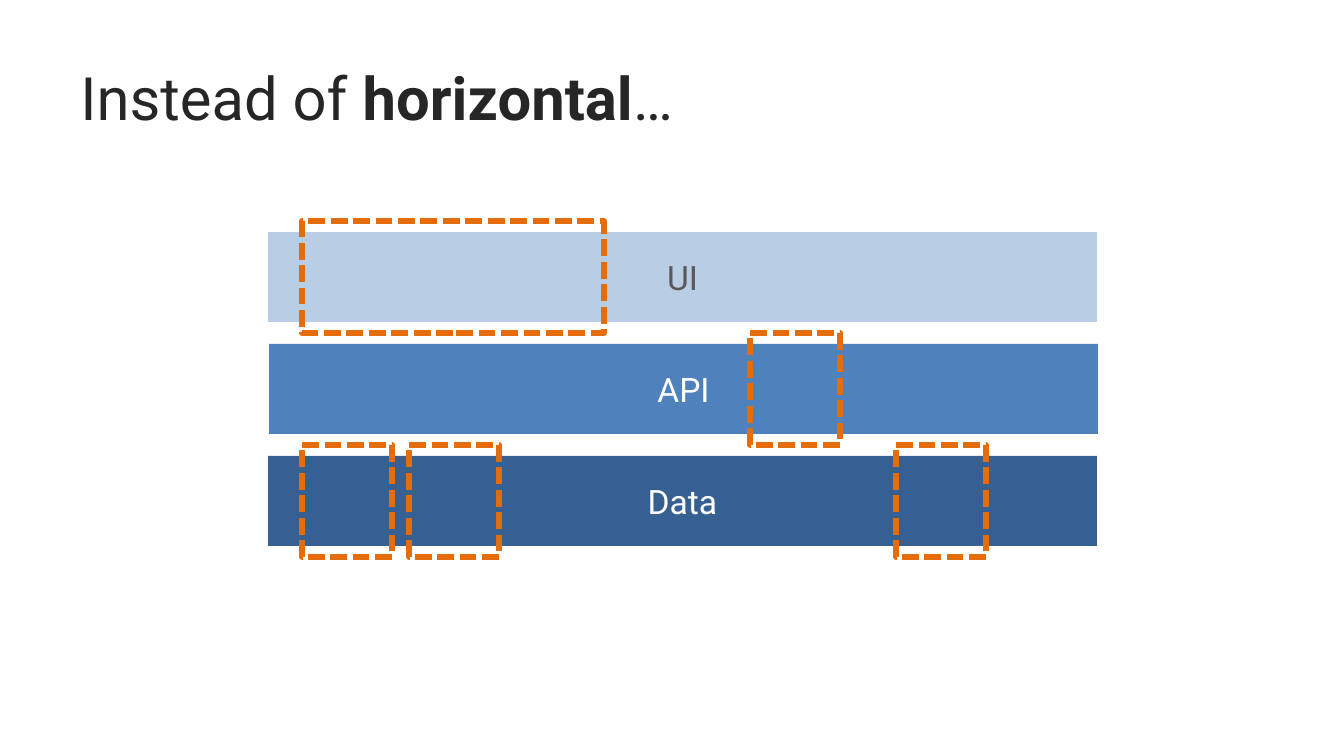
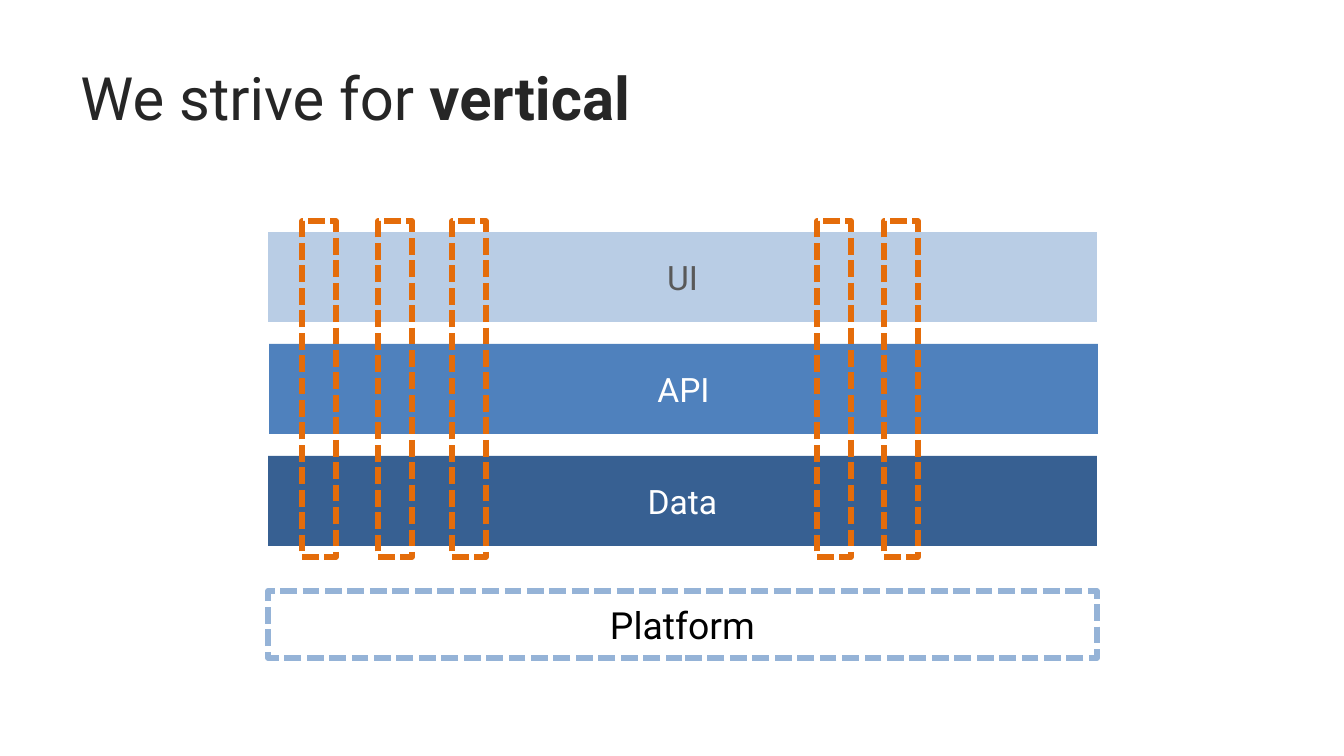
from pptx import Presentation
from pptx.dml.color import RGBColor
from pptx.enum.dml import MSO_LINE
from pptx.enum.shapes import MSO_SHAPE
from pptx.enum.text import MSO_ANCHOR, MSO_AUTO_SIZE, PP_ALIGN
from pptx.util import Pt

EMU_PER_PX = 914400 / 134.4
FONT = "Roboto"
INK, ORANGE, PALE_BLUE = "262626", "E46C0A", "95B3D7"
TITLE_BOX = (67, 34, 1210, 126)
STACK_BOX = (268, 221, 829, 336)
PLATFORM_BOX = (268, 591, 829, 67)
BAR_INSET = 11
LAYERS = [
    ("UI", "B9CDE5", "595959", 0),
    ("API", "4F81BD", "FFFFFF", 1),
    ("Data", "376092", "FFFFFF", 0),
]
HORIZONTAL_SLICES = [(0, 34, 302), (1, 482, 90), (2, 34, 90), (2, 141, 90), (2, 628, 90)]
VERTICAL_SLICES = [34, 110, 184, 549, 616]
VERTICAL_WIDTH = 34


def px(length):
    """Turn pixels into EMU."""
    return round(length * EMU_PER_PX)


def color(hex_value):
    """Turn a hex string into a colour."""
    return RGBColor.from_string(hex_value)


def apply(target, values):
    """Set each named attribute on the target."""
    for name, value in values.items():
        setattr(target, name, value)


def place(shape, box):
    """Move and size a shape to a pixel box."""
    apply(shape, dict(zip(("left", "top", "width", "height"), map(px, box))))


def add_run(paragraph, text, size, text_color, bold=False):
    """Add a formatted run to a paragraph."""
    run = paragraph.add_run()
    run.text = text
    apply(run.font, {"name": FONT, "size": Pt(size), "bold": bold})
    run.font.color.rgb = color(text_color)


def add_box(slide, box, fill=None, outline=None):
    """Add a rectangle with a plain fill or a dashed outline."""
    shape = slide.shapes.add_shape(MSO_SHAPE.RECTANGLE, *map(px, box))
    shape.shadow.inherit = False
    if fill:
        shape.fill.solid()
        shape.fill.fore_color.rgb = color(fill)
    else:
        shape.fill.background()
    if outline:
        shape.line.color.rgb = color(outline)
        apply(shape.line, {"width": Pt(3), "dash_style": MSO_LINE.SQUARE_DOT})
    else:
        shape.line.fill.background()
    return shape


def add_label(shape, text, size, text_color):
    """Write a centred label in a shape."""
    frame = shape.text_frame
    apply(frame, {"word_wrap": True, "vertical_anchor": MSO_ANCHOR.MIDDLE})
    paragraph = frame.paragraphs[0]
    paragraph.alignment = PP_ALIGN.CENTER
    add_run(paragraph, text, size, text_color)


def add_titled_slide(presentation, title_parts):
    """Add a slide whose title alternates regular and bold parts."""
    slide = presentation.slides.add_slide(presentation.slide_layouts[5])
    title = slide.shapes.title
    place(title, TITLE_BOX)
    frame = title.text_frame
    apply(frame, {"word_wrap": True, "auto_size": MSO_AUTO_SIZE.NONE,
                  "vertical_anchor": MSO_ANCHOR.MIDDLE})
    paragraph = frame.paragraphs[0]
    paragraph.alignment = PP_ALIGN.LEFT
    for index, text in enumerate(title_parts):
        add_run(paragraph, text, 32, INK, bold=index % 2 == 1)
    return slide


def add_layers(slide, box):
    """Stack the layer bars in equal rows of the box."""
    left, top, width, height = box
    row_height = height // len(LAYERS)
    for row, (name, fill, text_color, shift) in enumerate(LAYERS):
        bar_box = (left + shift, top + row * row_height + BAR_INSET,
                   width, row_height - 2 * BAR_INSET)
        add_label(add_box(slide, bar_box, fill=fill), name, 18, text_color)


def add_slices(slide, box, slices, row_count):
    """Outline slices, each one row high, over the box."""
    left, top, _, height = box
    row_height = height // row_count
    for row, offset, width in slices:
        slice_box = (left + offset, top + row * row_height, width, row_height)
        add_box(slide, slice_box, outline=ORANGE)


def add_platform(slide, box):
    """Add the dashed platform bar."""
    platform = add_box(slide, box, outline=PALE_BLUE)
    apply(platform.text_frame, {"margin_left": 0, "margin_right": 0})
    add_label(platform, "Platform", 20, "000000")


def build_horizontal(presentation):
    """Build the slide with slices inside single layers."""
    slide = add_titled_slide(presentation, ["Instead of ", "horizontal", "…"])
    add_layers(slide, STACK_BOX)
    add_slices(slide, STACK_BOX, HORIZONTAL_SLICES, len(LAYERS))


def build_vertical(presentation):
    """Build the slide with slices across all layers."""
    slide = add_titled_slide(presentation, ["We strive for ", "vertical"])
    add_layers(slide, STACK_BOX)
    slices = [(0, offset, VERTICAL_WIDTH) for offset in VERTICAL_SLICES]
    add_slices(slide, STACK_BOX, slices, 1)
    add_platform(slide, PLATFORM_BOX)


def main():
    """Build and save the presentation."""
    presentation = Presentation()
    apply(presentation, {"slide_width": px(1344), "slide_height": px(756)})
    build_horizontal(presentation)
    build_vertical(presentation)
    presentation.save("out.pptx")


if __name__ == "__main__":
    main()
